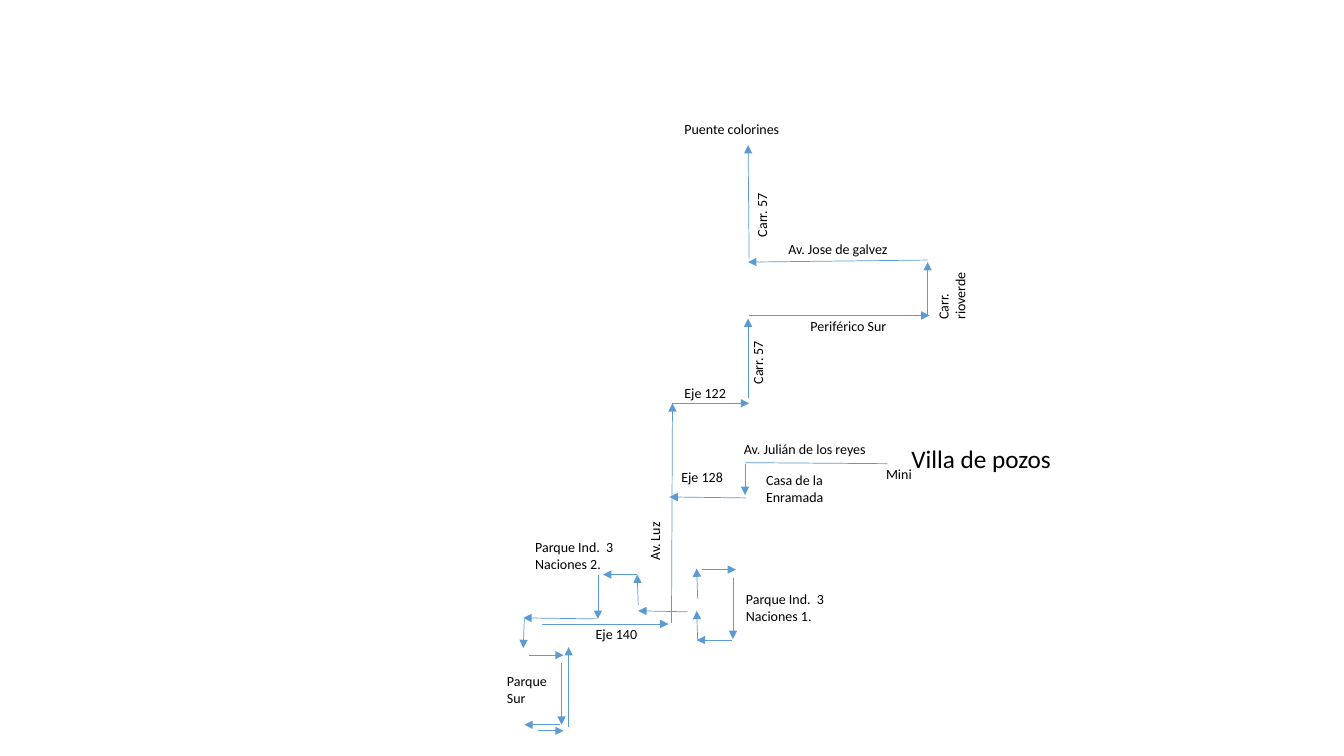
import pptx
import pptx.util
import pptx.dml.color
import pptx.enum.shapes
import pptx.enum.text
import pptx.oxml.ns
import lxml.etree
from dataclasses import dataclass

Inches, Pt = pptx.util.Inches, pptx.util.Pt
RGB = pptx.dml.color.RGBColor


@dataclass(frozen=True)
class Theme:
    font: str = "Calibri"
    text: RGB = RGB(0x00, 0x00, 0x00)
    route: RGB = RGB(0x5B, 0x9B, 0xD5)
    label_pt: float = 10
    place_pt: float = 18
    line_pt: float = 0.5


THEME = Theme()
ONE_LINE, TWO_LINES = 0.28, 0.44  # label heights

# text, left, top, width, height
LABELS = [
    ("Mini", 8.69, 4.57, 0.53, ONE_LINE),
    ("Casa de la Enramada", 7.5, 4.63, 0.94, TWO_LINES),
    ("Av. Jose de galvez", 7.72, 2.34, 1.51, ONE_LINE),
    ("Puente colorines", 6.69, 1.15, 1.51, ONE_LINE),
    ("Av. Julián de los reyes", 7.28, 4.32, 1.51, ONE_LINE),
    ("Parque Ind.  3 Naciones 1.", 7.3, 5.81, 1.01, TWO_LINES),
    ("Parque Ind.  3 Naciones 2.", 5.21, 5.29, 1.01, TWO_LINES),
    ("Parque Sur", 4.93, 6.62, 0.64, TWO_LINES),
    ("Eje 122", 6.69, 3.77, 0.67, ONE_LINE),
    ("Eje 128", 6.66, 4.6, 0.67, ONE_LINE),
    ("Eje 140", 5.81, 6.16, 0.67, ONE_LINE),
    ("Periférico Sur", 7.94, 3.1, 1.51, ONE_LINE),
]
UPRIGHT_LABELS = [
    ("Av. Luz", 6.15, 5.17, 0.7, ONE_LINE),
    ("Carr. 57", 7.17, 3.42, 0.7, ONE_LINE),
    ("Carr. 57", 7.21, 1.96, 0.7, ONE_LINE),
    ("Carr. rioverde", 9.09, 2.7, 0.7, TWO_LINES),
]
PLACE = ("Villa de pozos", 8.94, 4.35, 1.62, 0.4)

# start x, start y, end x, end y
START_ROAD = (7.39, 4.59, 8.8, 4.6)
ARROWS = {
    "Villa de pozos to Eje 128": [
        (7.39, 4.6, 7.39, 4.91), (7.4, 4.94, 6.64, 4.93),
    ],
    "Naciones 1": [
        (6.92, 5.94, 6.91, 5.64), (6.96, 5.65, 7.3, 5.65),
        (7.27, 5.73, 7.27, 6.34), (7.26, 6.35, 6.91, 6.35),
        (6.92, 6.36, 6.91, 6.06),
    ],
    "Naciones 2": [
        (6.82, 6.07, 6.33, 6.06), (6.33, 6, 6.32, 5.7),
        (6.32, 5.7, 5.98, 5.7), (5.93, 5.7, 5.93, 6.14),
    ],
    "Parque Sur": [
        (5.92, 6.14, 5.19, 6.13), (5.2, 6.14, 5.19, 6.43),
        (5.25, 6.5, 5.59, 6.5), (5.57, 6.58, 5.57, 7.19),
        (5.55, 7.19, 5.2, 7.19), (5.34, 7.25, 5.59, 7.25),
        (5.64, 7.21, 5.64, 6.42),
    ],
    "Eje 140 to Puente colorines": [
        (5.38, 6.19, 6.63, 6.19), (6.66, 6.18, 6.67, 4),
        (6.67, 4, 7.43, 4), (7.42, 3.95, 7.42, 3.16),
        (7.43, 3.13, 9.22, 3.13), (9.2, 3.13, 9.2, 2.6),
        (9.2, 2.58, 7.42, 2.6), (7.43, 2.57, 7.42, 1.44),
    ],
}


def add_road(slide, ends, arrow=True):
    road = slide.shapes.add_connector(
        pptx.enum.shapes.MSO_CONNECTOR.STRAIGHT, *map(Inches, ends))
    road.line.color.rgb = THEME.route
    road.line.width = Pt(THEME.line_pt)
    qn = pptx.oxml.ns.qn
    sp_pr = road._element.spPr
    if arrow:
        tail = lxml.etree.SubElement(sp_pr.get_or_add_ln(), qn("a:tailEnd"))
        tail.set("type", "triangle")
    lxml.etree.SubElement(sp_pr, qn("a:effectLst"))


def add_label(slide, label, size=THEME.label_pt, rotation=0):
    text, *box = label
    sp = slide.shapes.add_textbox(*map(Inches, box))
    sp.rotation = rotation
    tf = sp.text_frame
    tf.word_wrap = True
    tf.auto_size = pptx.enum.text.MSO_AUTO_SIZE.SHAPE_TO_FIT_TEXT
    p = tf.paragraphs[0]
    p.text = text
    p.font.name = THEME.font
    p.font.size = Pt(size)
    p.font.color.rgb = THEME.text


def main():
    prs = pptx.Presentation()
    prs.slide_width, prs.slide_height = Inches(13.33), Inches(7.5)
    slide = prs.slides.add_slide(prs.slide_layouts[6])
    add_road(slide, START_ROAD, arrow=False)
    for legs in ARROWS.values():
        for ends in legs:
            add_road(slide, ends)
    add_label(slide, PLACE, size=THEME.place_pt)
    for label in LABELS:
        add_label(slide, label)
    for label in UPRIGHT_LABELS:
        add_label(slide, label, rotation=270)
    prs.save("out.pptx")


if __name__ == "__main__":
    main()
